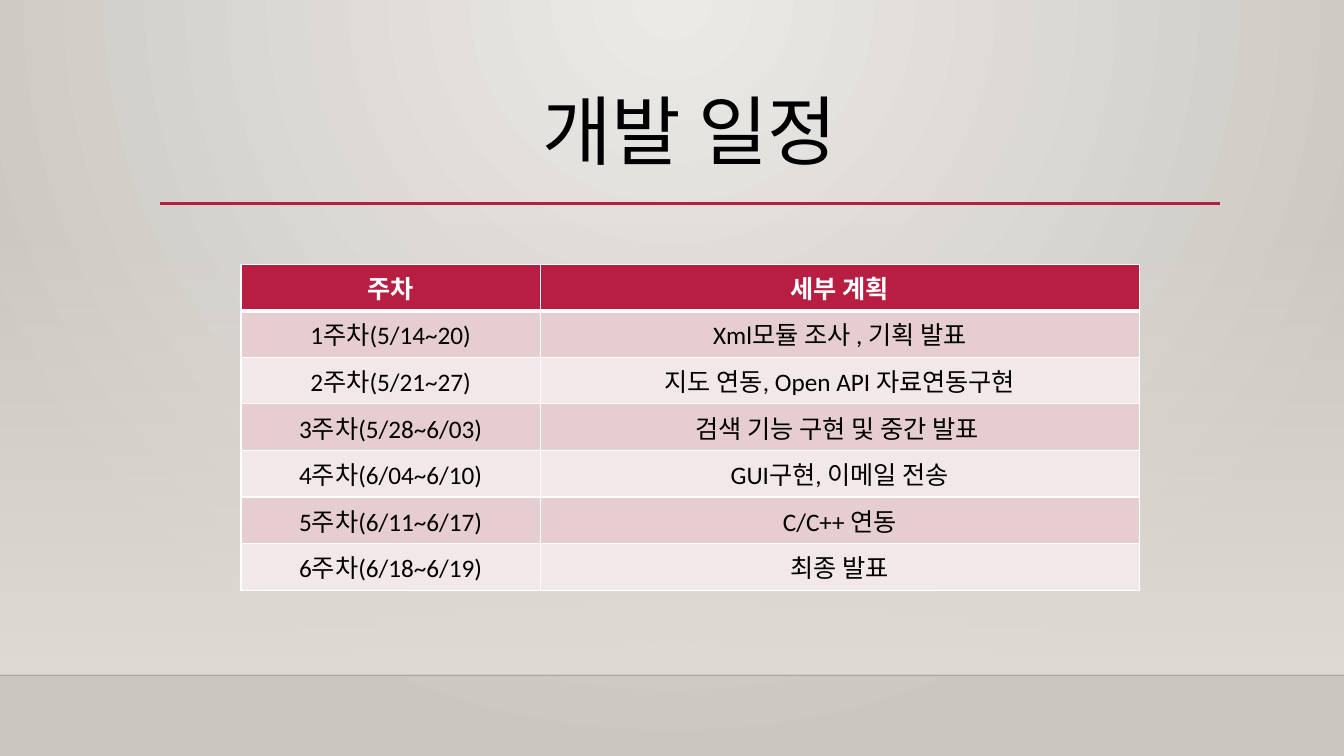
from lxml.etree import SubElement
from pptx import Presentation
from pptx.dml.color import RGBColor
from pptx.enum.shapes import MSO_CONNECTOR, MSO_SHAPE
from pptx.enum.text import MSO_ANCHOR, PP_ALIGN
from pptx.oxml.ns import qn
from pptx.util import Inches, Pt

THEME = {
    "font": "Calibri", "title_size": 54, "table_size": 18,
    "black": "000000", "white": "FFFFFF", "accent": "B71E42",
    "bands": ("E6CDCF", "F3E8E9"),
    "backdrop": ("ECEAE7", "CAC7C1"), "wall": "DFDBD5", "floor_line": "000001",
}


def write_text(frame, text, size, color, bold=False):
    para = frame.paragraphs[0]
    para.alignment = PP_ALIGN.CENTER
    span = para.add_run()
    span.text = text
    formats = {"name": THEME["font"], "size": Pt(size), "bold": bold}
    for name, value in formats.items():
        setattr(span.font, name, value)
    span.font.color.rgb = RGBColor.from_string(color)
    return para


def add_solid_line(parent, tag, color, width):
    line = SubElement(parent, qn(tag), w=str(Pt(width)))
    SubElement(SubElement(line, qn("a:solidFill")), qn("a:srgbClr"), val=color)


deck = Presentation()
deck.slide_width, deck.slide_height = Inches(13.33), Inches(7.5)
slide = deck.slides.add_slide(deck.slide_layouts[5])

# Radial backdrop, lightest at the top centre
backdrop = slide.background.fill
backdrop.gradient()
for stop, color in zip(backdrop.gradient_stops, THEME["backdrop"]):
    stop.color.rgb = RGBColor.from_string(color)
linear = slide.background._cSld.find(".//" + qn("a:lin"))
gradient = linear.getparent()
gradient.remove(linear)
radial = SubElement(gradient, qn("a:path"))
radial.set("path", "circle")
SubElement(radial, qn("a:fillToRect"), l="43000", t="0", r="43000", b="100000")

# Wall that fades in towards the floor
wall = slide.shapes.add_shape(
    MSO_SHAPE.RECTANGLE, 0, Inches(2.21), deck.slide_width, Inches(4.49))
wall.shadow.inherit = False
wall.line.fill.background()
wall.fill.gradient()
wall.fill.gradient_angle = 270
for stop, position in zip(wall.fill.gradient_stops, (0, 1)):
    stop.position = position
    stop.color.rgb = RGBColor.from_string(THEME["wall"])
clear_color = wall._element.spPr.find(".//" + qn("a:srgbClr"))
SubElement(clear_color, qn("a:alpha"), val="0")

# Floor line and title rule
for left, right, top, color, width, opacity in (
        (0, 13.33, 6.7, THEME["floor_line"], 1, 20),
        (1.59, 12.1, 2.02, THEME["accent"], 2.5, 100)):
    rule = slide.shapes.add_connector(
        MSO_CONNECTOR.STRAIGHT, Inches(left), Inches(top), Inches(right), Inches(top))
    rule.line.width = Pt(width)
    rule.line.color.rgb = RGBColor.from_string(color)
    rule_color = rule._element.spPr.find(".//" + qn("a:srgbClr"))
    SubElement(rule_color, qn("a:alpha"), val=str(opacity * 1000))
    SubElement(rule._element.spPr, qn("a:effectLst"))

# Title
title = slide.shapes.title
title_place = {"left": 1.59, "top": 0.88, "width": 10.5, "height": 1.15}
for name, value in title_place.items():
    setattr(title, name, Inches(value))
title.text_frame.vertical_anchor = MSO_ANCHOR.TOP
title_para = write_text(
    title.text_frame, "개발 일정", THEME["title_size"], THEME["black"])
title_para.line_spacing = 0.9

# Schedule table
schedule = (
    ("주차", "세부 계획"),
    ("1주차(5/14~20)", "Xml모듈 조사 , 기획 발표"),
    ("2주차(5/21~27)", "지도 연동, Open API 자료연동구현"),
    ("3주차(5/28~6/03)", "검색 기능 구현 및 중간 발표 "),
    ("4주차(6/04~6/10)", "GUI구현, 이메일 전송"),
    ("5주차(6/11~6/17)", "C/C++ 연동"),
    ("6주차(6/18~6/19)", "최종 발표"),
)
table = slide.shapes.add_table(
    len(schedule), 2, Inches(2.39), Inches(2.62), Inches(8.91), Inches(2.87)).table
for column, width in zip(table.columns, (2.97, 5.94)):
    column.width = Inches(width)
for row_index, texts in enumerate(schedule):
    table.rows[row_index].height = Inches(0.41)
    header = row_index == 0
    fill = THEME["accent"] if header else THEME["bands"][(row_index - 1) % 2]
    for column_index, text in enumerate(texts):
        cell = table.cell(row_index, column_index)
        write_text(cell.text_frame, text, THEME["table_size"],
                   THEME["white"] if header else THEME["black"], header)
        # Borders come before the fill in the cell properties
        for side in "LRTB":
            heavy = (header and side == "B") or (row_index == 1 and side == "T")
            add_solid_line(cell._tc.get_or_add_tcPr(), f"a:ln{side}",
                           THEME["white"], 3 if heavy else 1)
        cell.fill.solid()
        cell.fill.fore_color.rgb = RGBColor.from_string(fill)

deck.save("out.pptx")
